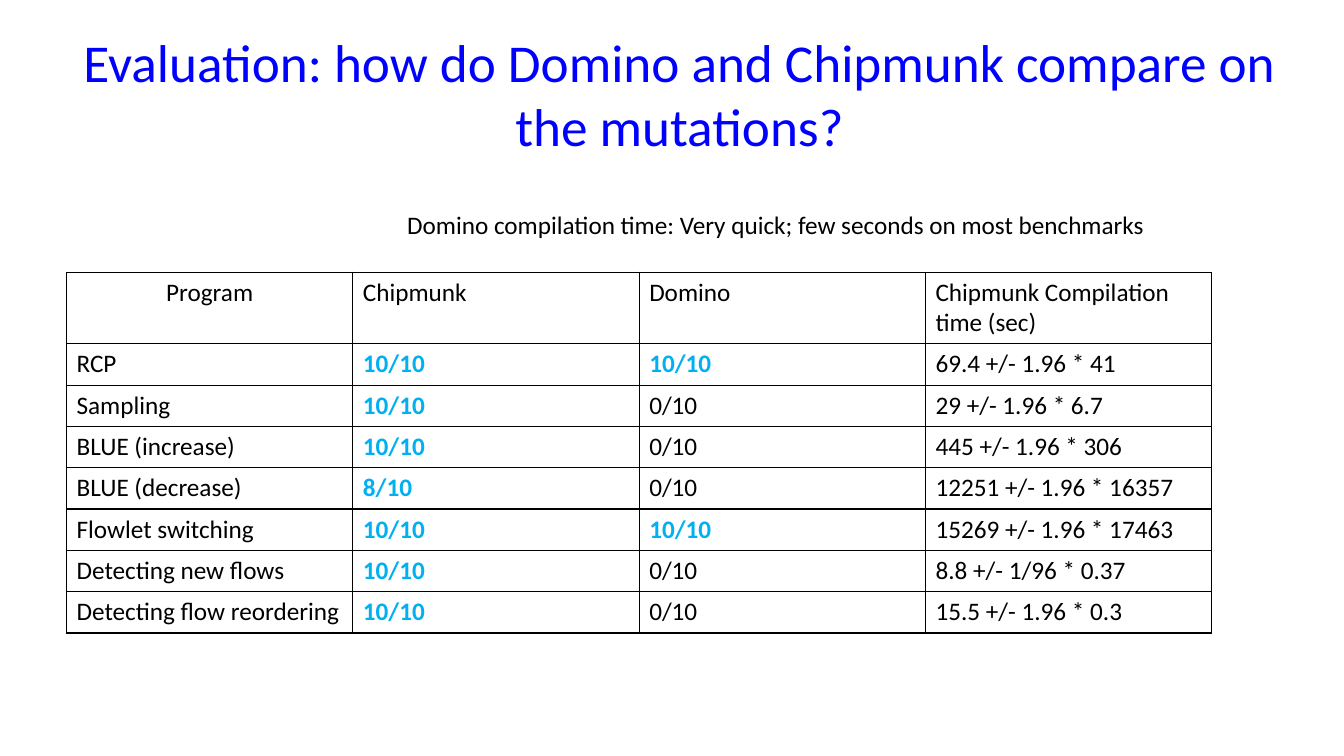
from typing import NamedTuple

from lxml import etree
from pptx import Presentation
from pptx.dml.color import RGBColor
from pptx.enum.text import MSO_ANCHOR, MSO_AUTO_SIZE, PP_ALIGN
from pptx.oxml.ns import qn
from pptx.util import Inches, Pt

CENTER = PP_ALIGN.CENTER
MIDDLE = MSO_ANCHOR.MIDDLE
NO_AUTOFIT = MSO_AUTO_SIZE.NONE
GROW = MSO_AUTO_SIZE.SHAPE_TO_FIT_TEXT

FONT = "Calibri"
BLACK = "000000"
TITLE_BLUE = "0000FF"
SUCCESS_BLUE = "00B0F0"
TITLE_ONLY_LAYOUT = 5
ROW_HEIGHT = 0.41
COLUMN_WIDTH = 2.84


class Result(NamedTuple):
    program: str
    chipmunk: str
    domino: str
    compile_time: str


HEADER = Result("Program", "Chipmunk", "Domino", "Chipmunk Compilation time (sec)")
RESULTS = [
    Result("RCP", "10/10", "10/10", "69.4 +/- 1.96 * 41"),
    Result("Sampling", "10/10", "0/10", "29 +/- 1.96 * 6.7"),
    Result("BLUE (increase)", "10/10", "0/10", "445 +/- 1.96 * 306"),
    Result("BLUE (decrease)", "8/10", "0/10", "12251 +/- 1.96 * 16357"),
    Result("Flowlet switching", "10/10", "10/10", "15269 +/- 1.96 * 17463"),
    Result("Detecting new flows", "10/10", "0/10", "8.8 +/- 1/96 * 0.37"),
    Result("Detecting flow reordering", "10/10", "0/10", "15.5 +/- 1.96 * 0.3"),
]


def write(frame, text: str, size: float, color: str, bold: bool = False) -> None:
    frame.text = text
    for span in frame.paragraphs[0].runs:
        span.font.name = FONT
        span.font.size = Pt(size)
        span.font.bold = bold
        span.font.color.rgb = RGBColor.from_string(color)


def add_borders(cell, color: str, width: float) -> None:
    """Draw all four edges; edge elements must precede the cell's fill."""
    properties = cell._tc.get_or_add_tcPr()
    for index, edge in enumerate(("a:lnL", "a:lnR", "a:lnT", "a:lnB")):
        line = etree.Element(qn(edge), w=str(Pt(width)))
        fill = etree.SubElement(line, qn("a:solidFill"))
        etree.SubElement(fill, qn("a:srgbClr"), val=color)
        properties.insert(index, line)


def add_title(page) -> None:
    title = page.shapes.title
    title.left, title.top = Inches(0.32), Inches(0.3)
    title.width, title.height = Inches(12.84), Inches(1.25)
    frame = title.text_frame
    frame.auto_size = NO_AUTOFIT
    frame.word_wrap = True
    frame.vertical_anchor = MIDDLE
    frame.margin_left = frame.margin_right = Inches(0.15)
    write(frame, "Evaluation: how do Domino and Chipmunk compare on the mutations?",
          38, TITLE_BLUE)
    frame.paragraphs[0].alignment = CENTER


def add_compile_note(page) -> None:
    box = page.shapes.add_textbox(Inches(3.94), Inches(2.03), Inches(7.72), Inches(0.4))
    frame = box.text_frame
    frame.word_wrap = False
    frame.auto_size = GROW
    write(frame, "Domino compilation time: Very quick; few seconds on most benchmarks",
          18, BLACK)


def add_results_table(page) -> None:
    rows = [HEADER, *RESULTS]
    table = page.shapes.add_table(
        len(rows), len(HEADER), Inches(0.66), Inches(2.7),
        Inches(COLUMN_WIDTH * len(HEADER)), Inches(ROW_HEIGHT * len(rows))).table
    table.first_row = table.horz_banding = False
    for column in table.columns:
        column.width = Inches(COLUMN_WIDTH)
    for row, result in zip(table.rows, rows):
        row.height = Inches(ROW_HEIGHT)
        for cell, text in zip(row.cells, result):
            success = text.endswith("/10") and text != "0/10"
            cell.fill.background()
            add_borders(cell, BLACK, 1)
            write(cell.text_frame, text, 18, SUCCESS_BLUE if success else BLACK, success)
    table.cell(0, 0).text_frame.paragraphs[0].alignment = CENTER


def main() -> None:
    deck = Presentation()
    deck.slide_width, deck.slide_height = Inches(13.33), Inches(7.5)
    page = deck.slides.add_slide(deck.slide_layouts[TITLE_ONLY_LAYOUT])
    add_results_table(page)
    add_title(page)
    add_compile_note(page)
    deck.save("out.pptx")


if __name__ == "__main__":
    main()
